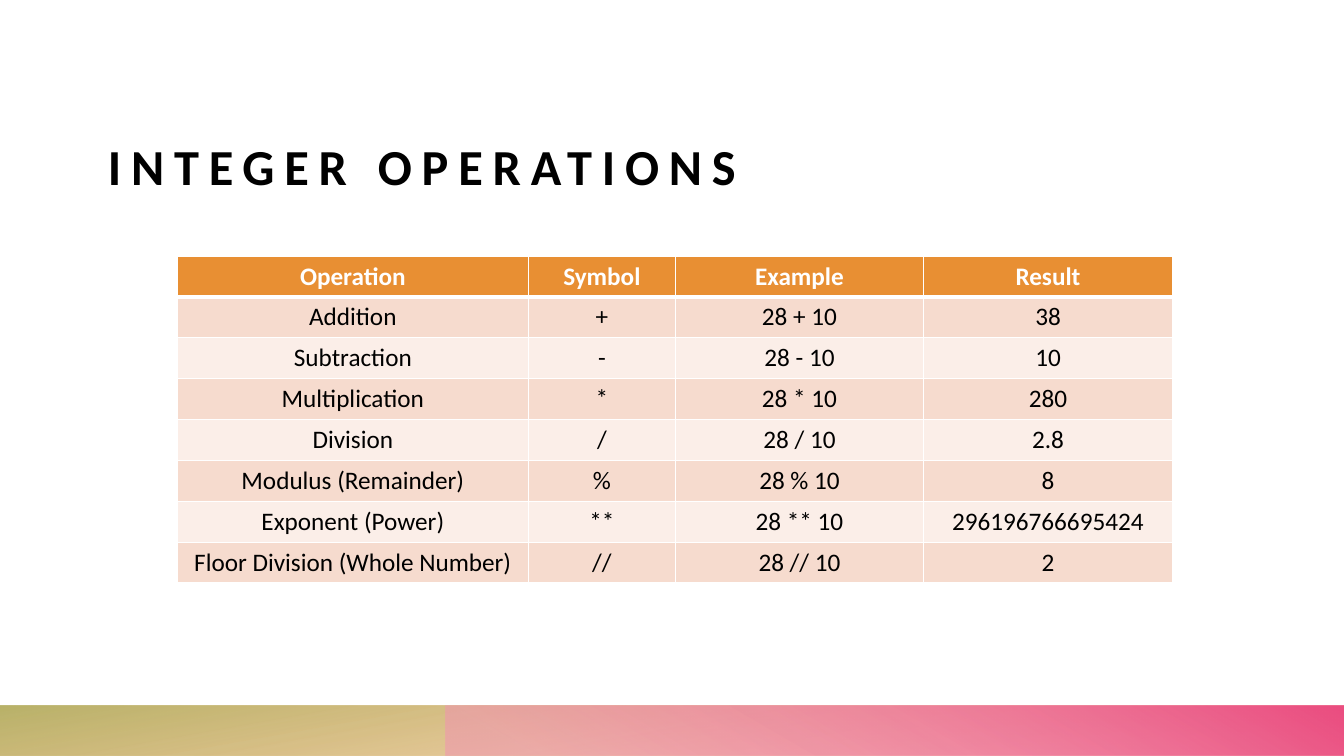
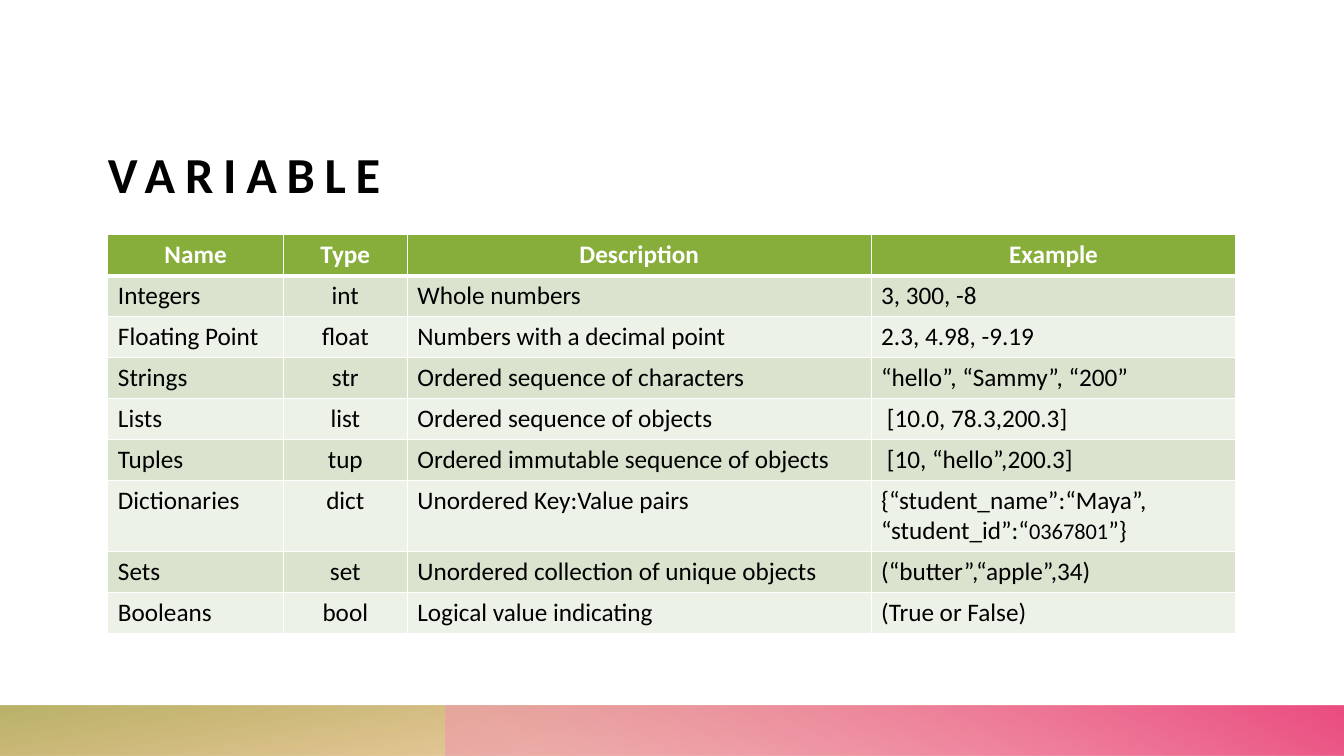
from pptx import Presentation
from pptx.dml.color import RGBColor
from pptx.enum.shapes import MSO_SHAPE
from pptx.enum.text import MSO_ANCHOR, MSO_AUTO_SIZE, PP_ALIGN
from pptx.oxml import parse_xml
from pptx.util import Inches, Pt

NS = 'xmlns:a="http://schemas.openxmlformats.org/drawingml/2006/main"'
FONT = "Calibri"
WIDE, HIGH = 13.33, 7.5
BAND = 0.5
ROW = 3.24 / 8
BLACK, WHITE = "000000", "FFFFFF"

BANDS = [
    dict(left=0, turn=180, angle=100,
         stops=[(14, "E88F33", 28), (100, "ACA54F", 85)]),
    dict(left=4.42, turn=0, angle=240,
         stops=[(9, "F395B3", 55), (99, "EB4E81", 100)]),
]

PAGES = [
    dict(
        title="INTEGER OPERATIONS", top=0.59, at=(1.76, 2.54),
        cols=[3.48, 1.46, 2.46, 2.47], align="cccc", tall={},
        fills=("E88F33", "F6DBCE", "FBEEE8"),
        rows=[
            ("Operation", "Symbol", "Example", "Result"),
            ("Addition", "+", "28 + 10", "38"),
            ("Subtraction", "-", "28 - 10", "10"),
            ("Multiplication", "*", "28 * 10", "280"),
            ("Division", "/", "28 / 10", "2.8"),
            ("Modulus (Remainder)", "%", "28 % 10", "8"),
            ("Exponent (Power)", "**", "28 ** 10", "296196766695424"),
            ("Floor Division (Whole Number)", "//", "28 // 10", "2"),
        ],
    ),
    dict(
        title="VARIABLE", top=0.67, at=(1.07, 2.33),
        cols=[1.74, 1.23, 4.6, 3.62], align="lcll", tall={6: 0.71},
        fills=("87AE3A", "D9E3CE", "EDF2E8"),
        rows=[
            ("Name", "Type", "Description", "Example"),
            ("Integers", "int", "Whole numbers", "3, 300, -8"),
            ("Floating Point", "float", "Numbers with a decimal point",
             "2.3, 4.98, -9.19"),
            ("Strings", "str", "Ordered sequence of characters",
             "“hello”, “Sammy”, “200”"),
            ("Lists", "list", "Ordered sequence of objects",
             " [10.0, 78.3,200.3]"),
            ("Tuples", "tup", "Ordered immutable sequence of objects",
             " [10, “hello”,200.3]"),
            ("Dictionaries", "dict", "Unordered Key:Value pairs",
             [("{“student_name”:“Maya”, “student_id”:“", 18),
              ("0367801", 16), ("”}", 18)]),
            ("Sets", "set", "Unordered collection of unique objects",
             "(“butter”,“apple”,34)"),
            ("Booleans", "bool", "Logical value indicating",
             "(True or False)"),
        ],
    ),
]


def tint(code):
    return RGBColor.from_string(code)


def write(para, text, size, color, bold):
    run = para.add_run()
    run.text = text
    font = run.font
    font.name, font.size, font.bold = FONT, Pt(size), bold
    font.color.rgb = tint(color)
    return run


def add_band(slide, left, turn, angle, stops):
    shape = slide.shapes.add_shape(
        MSO_SHAPE.RECTANGLE, Inches(left), Inches(HIGH - BAND),
        Inches(WIDE - left), Inches(BAND))
    shape.rotation = turn
    shape.shadow.inherit = False
    shape.line.fill.background()
    marks = "".join(
        f'<a:gs pos="{pos * 1000}"><a:srgbClr val="{code}">'
        f'<a:alpha val="{alpha * 1000}"/></a:srgbClr></a:gs>'
        for pos, code, alpha in stops)
    props = shape.element.spPr
    props.xfrm.set("flipH", "1")
    props.insert(2, parse_xml(
        f'<a:gradFill {NS} rotWithShape="1"><a:gsLst>{marks}</a:gsLst>'
        f'<a:lin ang="{angle * 60000}" scaled="0"/></a:gradFill>'))


def add_title(slide, text, top):
    title = slide.shapes.title
    title.left, title.top = Inches(1.07), Inches(top)
    title.width, title.height = Inches(11.2), Inches(1.35)
    frame = title.text_frame
    frame.margin_left = frame.margin_right = 0
    frame.margin_top = frame.margin_bottom = 0
    frame.vertical_anchor = MSO_ANCHOR.BOTTOM
    frame.auto_size = MSO_AUTO_SIZE.NONE
    para = frame.paragraphs[0]
    para.alignment = PP_ALIGN.LEFT
    run = write(para, text, 36, BLACK, True)
    run.font._element.set("spc", "700")


def add_edges(cell, base):
    props = cell._tc.get_or_add_tcPr()
    for side, width in (("L", 1), ("R", 1), ("T", 1), ("B", base)):
        props.append(parse_xml(
            f'<a:ln{side} {NS} w="{Pt(width)}"><a:solidFill>'
            f'<a:srgbClr val="{WHITE}"/></a:solidFill></a:ln{side}>'))


def add_grid(slide, page):
    rows, cols = page["rows"], page["cols"]
    highs = [page["tall"].get(r, ROW) for r in range(len(rows))]
    left, top = page["at"]
    table = slide.shapes.add_table(
        len(rows), len(cols), Inches(left), Inches(top),
        Inches(sum(cols)), Inches(sum(highs))).table
    for col, width in zip(table.columns, cols):
        col.width = Inches(width)
    head, odd, even = page["fills"]
    for r, row in enumerate(rows):
        table.rows[r].height = Inches(highs[r])
        first = r == 0
        fill = head if first else odd if r % 2 else even
        for c, text in enumerate(row):
            cell = table.cell(r, c)
            add_edges(cell, 3 if first else 1)
            cell.fill.solid()
            cell.fill.fore_color.rgb = tint(fill)
            para = cell.text_frame.paragraphs[0]
            mid = first or page["align"][c] == "c"
            para.alignment = PP_ALIGN.CENTER if mid else PP_ALIGN.LEFT
            parts = [(text, 18)] if isinstance(text, str) else text
            for part, size in parts:
                write(para, part, size, WHITE if first else BLACK, first)


def main():
    deck = Presentation()
    deck.slide_width, deck.slide_height = Inches(WIDE), Inches(HIGH)
    for page in PAGES:
        slide = deck.slides.add_slide(deck.slide_layouts[5])
        for band in BANDS:
            add_band(slide, **band)
        add_title(slide, page["title"], page["top"])
        add_grid(slide, page)
    deck.save("out.pptx")


if __name__ == "__main__":
    main()
